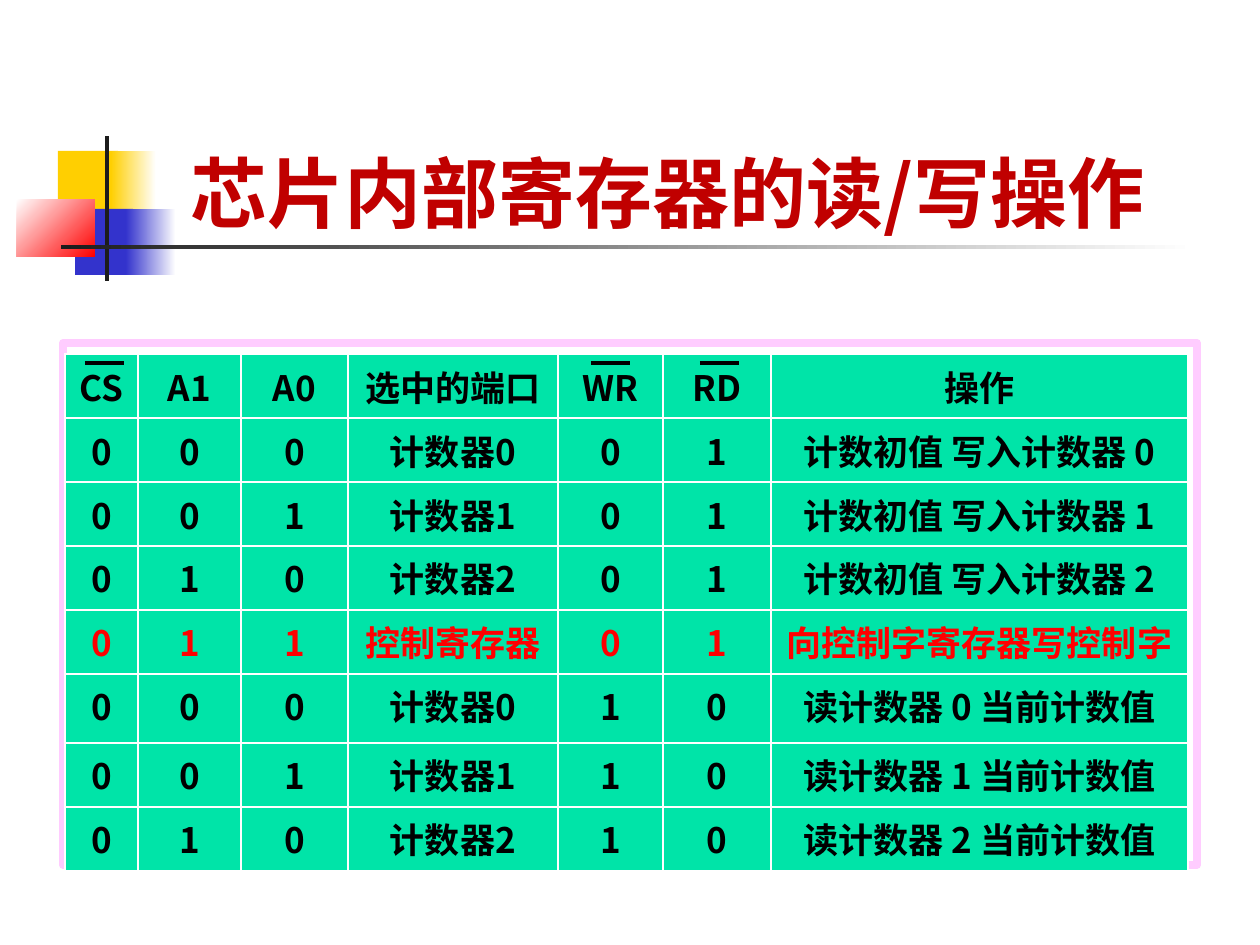
from lxml.etree import SubElement
from pptx import Presentation
from pptx.dml.color import RGBColor
from pptx.enum.shapes import MSO_CONNECTOR, MSO_SHAPE
from pptx.enum.text import MSO_ANCHOR, MSO_AUTO_SIZE, PP_ALIGN
from pptx.oxml.ns import qn
from pptx.util import Pt

PX = 7257  # EMU in one px, 126 px to the inch
FONT = "Noto Sans CJK SC"

WHITE = RGBColor(0xFF, 0xFF, 0xFF)
BLACK = RGBColor(0x00, 0x00, 0x00)
YELLOW = RGBColor(0xFF, 0xCF, 0x01)
BLUE = RGBColor(0x33, 0x33, 0xCC)
RED = RGBColor(0xFF, 0x00, 0x00)
DARK = RGBColor(0x1C, 0x1C, 0x1C)
TITLE_RED = RGBColor(0xC0, 0x00, 0x00)
PINK = RGBColor(0xFF, 0xCC, 0xFF)
GREEN = RGBColor(0x00, 0xE4, 0xA8)

COLUMN_WIDTHS = [73, 103, 107, 210, 105, 108, 417]
ROW_HEIGHTS = [64, 64, 64, 64, 64, 69, 64, 64]
CONTROL_ROW = 4
REGISTER_ROWS = [
    ["CS", "A1", "A0", "选中的端口", "WR", "RD", "操作"],
    ["0", "0", "0", "计数器0", "0", "1", "计数初值 写入计数器 0"],
    ["0", "0", "1", "计数器1", "0", "1", "计数初值 写入计数器 1"],
    ["0", "1", "0", "计数器2", "0", "1", "计数初值 写入计数器 2"],
    ["0", "1", "1", "控制寄存器", "0", "1", "向控制字寄存器写控制字"],
    ["0", "0", "0", "计数器0", "1", "0", "读计数器 0 当前计数值"],
    ["0", "0", "1", "计数器1", "1", "0", "读计数器 1 当前计数值"],
    ["0", "1", "0", "计数器2", "1", "0", "读计数器 2 当前计数值"],
]


def emu(*lengths):
    return [length * PX for length in lengths]


def write_text(frame, text, size, color):
    paragraph = frame.paragraphs[0]
    paragraph.alignment = PP_ALIGN.CENTER
    run = paragraph.add_run()
    run.text = text
    run.font.size = Pt(size)
    run.font.bold = True
    run.font.name = FONT
    run.font.color.rgb = color
    SubElement(run.font._element, qn("a:ea"), typeface=FONT)


def add_block(slide, box, start, end=None, angle=0):
    """Add a borderless rectangle, plain or fading from start to end."""
    block = slide.shapes.add_shape(MSO_SHAPE.RECTANGLE, *emu(*box))
    block.shadow.inherit = False
    block.line.fill.background()
    if end is None:
        block.fill.solid()
        block.fill.fore_color.rgb = start
    else:
        block.fill.gradient()
        block.fill.gradient_angle = angle
        for stop, color in zip(block.fill.gradient_stops, (start, end)):
            stop.color.rgb = color


def add_ornament(slide, left, top):
    blocks = [
        ((41, 15, 60, 66), YELLOW),
        ((94, 15, 45, 66), YELLOW, WHITE),
        ((58, 73, 58, 66), BLUE),
        ((109, 73, 50, 66), BLUE, WHITE),
        ((0, 63, 78, 58), WHITE, RED, 315),
        ((88, 0, 4, 145), DARK),
        ((44, 109, 1134, 4), DARK, WHITE),
    ]
    for (x, y, width, height), *colors in blocks:
        add_block(slide, (left + x, top + y, width, height), *colors)


def add_title(slide, box):
    title = slide.shapes.title
    title.left, title.top, title.width, title.height = emu(*box)
    frame = title.text_frame
    frame.auto_size = MSO_AUTO_SIZE.NONE
    frame.word_wrap = True
    frame.vertical_anchor = MSO_ANCHOR.BOTTOM
    frame.margin_left = frame.margin_right = 0
    frame.margin_top = frame.margin_bottom = 0
    write_text(frame, "芯片内部寄存器的读/写操作", 44, TITLE_RED)
    # Bring the title in front of the ornament
    title.element.getparent().append(title.element)


def add_frame(slide, box):
    frame = slide.shapes.add_shape(MSO_SHAPE.RECTANGLE, *emu(*box))
    frame.shadow.inherit = False
    frame.fill.background()
    frame.line.color.rgb = PINK
    frame.line.width = Pt(4.5)


def set_borders(cell, sides):
    properties = cell._tc.get_or_add_tcPr()
    for side in sides:
        border = SubElement(properties, qn(f"a:ln{side}"), w=str(Pt(1)))
        fill = SubElement(border, qn("a:solidFill"))
        SubElement(fill, qn("a:srgbClr"), val=str(WHITE))


def add_register_table(slide, left, top):
    last_row, last_column = len(ROW_HEIGHTS) - 1, len(COLUMN_WIDTHS) - 1
    table = slide.shapes.add_table(
        len(ROW_HEIGHTS), len(COLUMN_WIDTHS),
        *emu(left, top, sum(COLUMN_WIDTHS), sum(ROW_HEIGHTS))).table
    table.first_row = table.horz_banding = False
    for column, width in zip(table.columns, COLUMN_WIDTHS):
        column.width = width * PX
    for row, height in zip(table.rows, ROW_HEIGHTS):
        row.height = height * PX

    for r, entries in enumerate(REGISTER_ROWS):
        for c, entry in enumerate(entries):
            cell = table.cell(r, c)
            # Rules everywhere but on the left, right and bottom edges
            shown = {"L": c > 0, "R": c < last_column, "T": True, "B": r < last_row}
            set_borders(cell, [side for side in shown if shown[side]])
            cell.fill.solid()
            cell.fill.fore_color.rgb = GREEN
            write_text(cell.text_frame, entry, 20, RED if r == CONTROL_ROW else BLACK)


def add_overbar(slide, left, top, width):
    overbar = slide.shapes.add_connector(
        MSO_CONNECTOR.STRAIGHT, *emu(left, top, left + width, top))
    overbar.line.color.rgb = BLACK
    overbar.line.width = Pt(1.75)
    SubElement(overbar.element.spPr, qn("a:effectLst"))


def main():
    presentation = Presentation()
    presentation.slide_width, presentation.slide_height = emu(1260, 945)
    slide = presentation.slides.add_slide(presentation.slide_layouts[5])

    add_ornament(slide, 17, 136)
    add_frame(slide, (63, 343, 1134, 522))
    add_register_table(slide, 65, 354)
    add_title(slide, (132, 165, 1071, 73))
    # Bars over the active-low signals CS, WR and RD
    for left in (85, 591, 700):
        add_overbar(slide, left, 363, 39)

    presentation.save("out.pptx")


if __name__ == "__main__":
    main()
